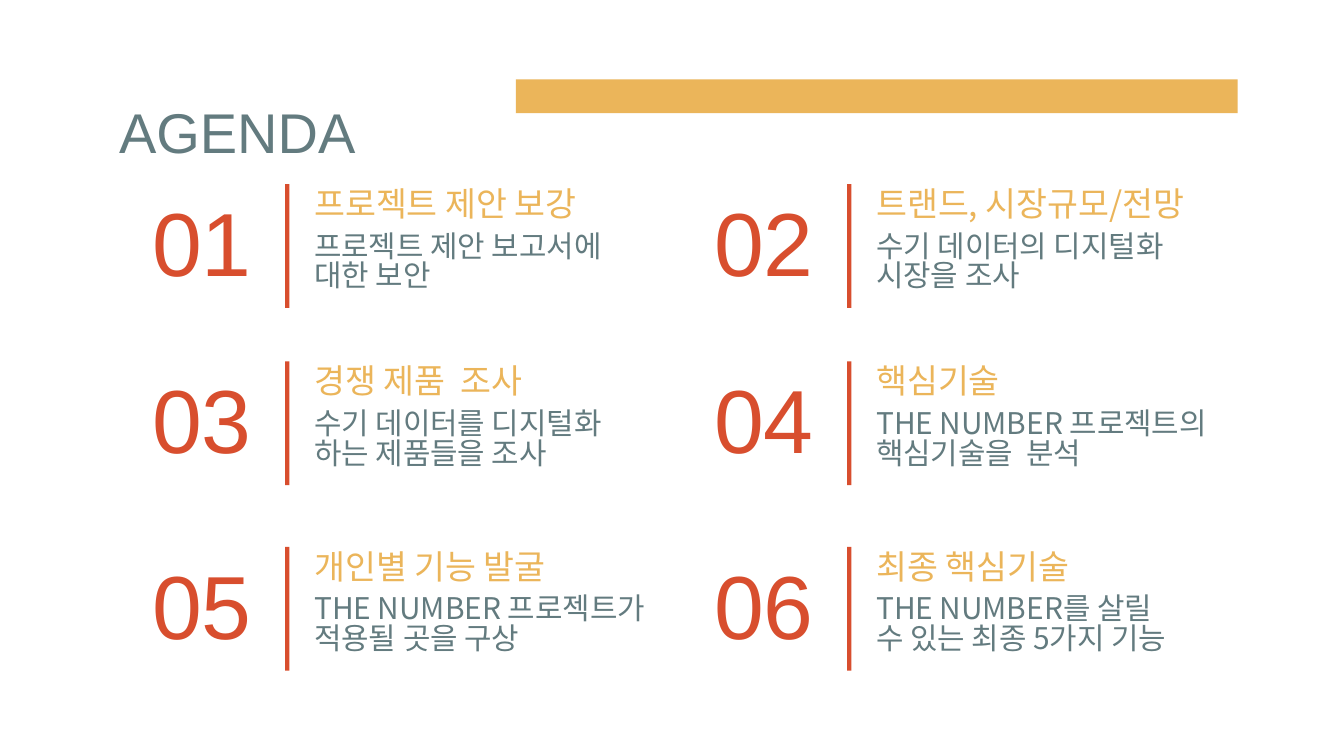
"""Build the AGENDA slide: six numbered topics in a two-column grid."""
from pptx import Presentation
from pptx.dml.color import RGBColor
from pptx.enum.shapes import MSO_SHAPE
from pptx.enum.text import MSO_ANCHOR, MSO_AUTO_SIZE, PP_ALIGN
from pptx.oxml.ns import qn
from pptx.util import Cm, Pt
from lxml.etree import SubElement

GOLD = RGBColor(0xEB, 0xB5, 0x5A)
SLATE = RGBColor(0x63, 0x7B, 0x7F)
RED = RGBColor(0xD8, 0x4E, 0x2E)
LATIN = "Arial"
KOREAN = "Noto Sans CJK KR"

TOPS = [3.48, 6.83, 10.34]
LEFT, PITCH = 2.44, 10.62
TOPICS = [
    ("프로젝트 제안 보강", "프로젝트 제안 보고서에 대한 보안", 6.35),
    ("트랜드, 시장규모/전망", "수기 데이터의 디지털화 시장을 조사", 6.35),
    ("경쟁 제품  조사", "수기 데이터를 디지털화 하는 제품들을 조사", 6.35),
    ("핵심기술", "THE NUMBER 프로젝트의 핵심기술을  분석", 7),
    ("개인별 기능 발굴", "THE NUMBER 프로젝트가 적용될 곳을 구상", 7),
    ("최종 핵심기술", "THE NUMBER를 살릴 수 있는 최종 5가지 기능", 6.35),
]
FRAME = {
    "word_wrap": True, "auto_size": MSO_AUTO_SIZE.NONE,
    "margin_left": Cm(0.25), "margin_right": Cm(0.25),
    "margin_top": Cm(0.25), "margin_bottom": Cm(0.25),
}


def write(shape, text, size, color, face, anchor=MSO_ANCHOR.TOP, **para):
    frame = shape.text_frame
    frame.text = text
    for key, value in {**FRAME, "vertical_anchor": anchor}.items():
        setattr(frame, key, value)
    line = frame.paragraphs[0]
    for key, value in {"alignment": PP_ALIGN.LEFT, **para}.items():
        setattr(line, key, value)
    font = line.runs[0].font
    for key, value in {"name": face, "size": Pt(size)}.items():
        setattr(font, key, value)
    font.color.rgb = color
    SubElement(line.runs[0]._r.get_or_add_rPr(), qn("a:ea"), typeface=face)


def block(x, y, w, h, color):
    shape = slide.shapes.add_shape(MSO_SHAPE.RECTANGLE, Cm(x), Cm(y), Cm(w), Cm(h))
    shape.fill.solid()
    shape.fill.fore_color.rgb = color
    shape.line.fill.background()
    shape.shadow.inherit = False


deck = Presentation()
deck.slide_width, deck.slide_height = Cm(25.4), Cm(14.29)
slide = deck.slides.add_slide(deck.slide_layouts[5])

block(9.75, 1.5, 13.64, 0.64, GOLD)

title = slide.shapes.title
place = {"left": Cm(2), "top": Cm(1.6), "width": Cm(8.3), "height": Cm(1.6)}
for key, value in place.items():
    setattr(title, key, value)
write(title, "AGENDA", 30, SLATE, LATIN)

for index, (head, body, wide) in enumerate(TOPICS):
    row, col = divmod(index, 2)
    x, y = LEFT + col * PITCH, TOPS[row]
    add = slide.shapes.add_textbox
    number = add(Cm(x), Cm(y), Cm(2.57), Cm(2.34))
    write(number, f"{index + 1:02}", 48, RED, LATIN, MSO_ANCHOR.BOTTOM,
          alignment=PP_ALIGN.RIGHT)
    block(x + 2.95, y, 0.08, 2.34, RED)
    topic = add(Cm(x + 3.25), Cm(y - 0.15), Cm(7), Cm(0.94))
    write(topic, head, 18, GOLD, KOREAN, line_spacing=0.83)
    detail = add(Cm(x + 3.25), Cm(y + 0.68), Cm(wide), Cm(1.7))
    write(detail, body, 16, SLATE, KOREAN, line_spacing=0.83)

deck.save("out.pptx")
